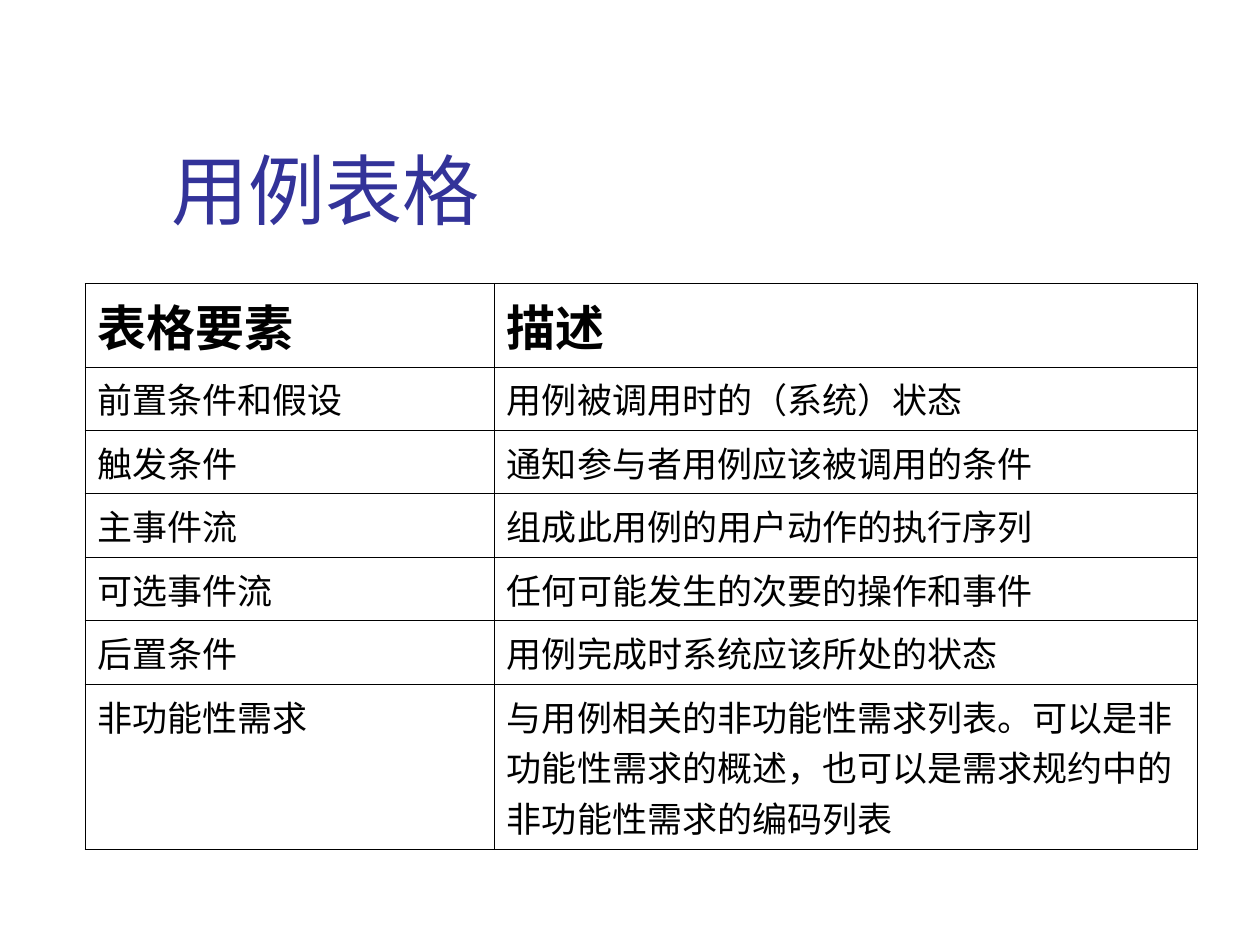
from lxml.etree import SubElement
from pptx import Presentation
from pptx.dml.color import RGBColor
from pptx.enum.text import MSO_ANCHOR, MSO_AUTO_SIZE, PP_ALIGN
from pptx.oxml.ns import qn
from pptx.util import Pt

CJK = "Noto Sans CJK SC"
HEADER = ("表格要素", "描述")
ROWS = [
    ("前置条件和假设", "用例被调用时的（系统）状态", "Lato"),
    ("触发条件", "通知参与者用例应该被调用的条件", "Lato"),
    ("主事件流", "组成此用例的用户动作的执行序列", "Lato"),
    ("可选事件流", "任何可能发生的次要的操作和事件", "Lato"),
    ("后置条件", "用例完成时系统应该所处的状态", CJK),
    ("非功能性需求", "与用例相关的非功能性需求列表。可以是非功能性需求的概述，"
     "也可以是需求规约中的非功能性需求的编码列表", CJK),
]


def rgb(color):
    return RGBColor.from_string(color)


def format_text(tf, size, font, color, bold=False):
    p = tf.paragraphs[0]
    p.alignment = PP_ALIGN.LEFT
    r = p.runs[0]
    r.font.size, r.font.name, r.font.bold = Pt(size), font, bold
    r.font.color.rgb = rgb(color)
    ea = SubElement(r.font._element, qn("a:ea"))
    ea.set("typeface", CJK)


def set_borders(cell, color, width):
    tcPr = cell._tc.get_or_add_tcPr()
    for i, side in enumerate(("lnL", "lnR", "lnT", "lnB")):
        ln = tcPr.makeelement(qn(f"a:{side}"), {"w": str(Pt(width))})
        fill = SubElement(ln, qn("a:solidFill"))
        SubElement(fill, qn("a:srgbClr")).set("val", color)
        tcPr.insert(i, ln)


def add_title(s, text, left, top, width, height):
    title = s.shapes.title
    title.left, title.top = Pt(left), Pt(top)
    title.width, title.height = Pt(width), Pt(height)
    tf = title.text_frame
    tf.text = text
    tf.auto_size = MSO_AUTO_SIZE.NONE
    tf.vertical_anchor = MSO_ANCHOR.BOTTOM
    format_text(tf, 44, CJK, "333399")


def fill_cell(cell, text, size, font, bold):
    cell.text_frame.text = text
    format_text(cell.text_frame, size, font, "000000", bold)
    cell.fill.background()
    set_borders(cell, "000000", 0.45)


def add_use_case_table(s, left, top, width, height):
    table = s.shapes.add_table(len(ROWS) + 1, 2, Pt(left), Pt(top),
                               Pt(width), Pt(height)).table
    table.first_row = table.horz_banding = False

    # Column widths and row heights
    label_width = 234
    table.columns[0].width = Pt(label_width)
    table.columns[1].width = Pt(width - label_width)
    header_height, row_height = 41, 31.5
    last_height = height - header_height - row_height * (len(ROWS) - 1)
    heights = [header_height] + [row_height] * (len(ROWS) - 1) + [last_height]
    for row, row_pt in zip(table.rows, heights):
        row.height = Pt(row_pt)

    # Header row
    for col, text in enumerate(HEADER):
        fill_cell(table.cell(0, col), text, 28, "Lato", True)

    # Element and description rows
    for i, (element, description, font) in enumerate(ROWS, 1):
        fill_cell(table.cell(i, 0), element, 20, "Times New Roman", False)
        fill_cell(table.cell(i, 1), description, 20, font, False)


def main():
    prs = Presentation()
    prs.slide_width, prs.slide_height = Pt(720), Pt(540)
    s = prs.slides.add_slide(prs.slide_layouts[5])
    s.background.fill.solid()
    s.background.fill.fore_color.rgb = rgb("FFFFFF")
    add_title(s, "用例表格", 91, 48, 613, 90)
    add_use_case_table(s, 48.5, 162, 636, 276)
    prs.save("out.pptx")


if __name__ == "__main__":
    main()
